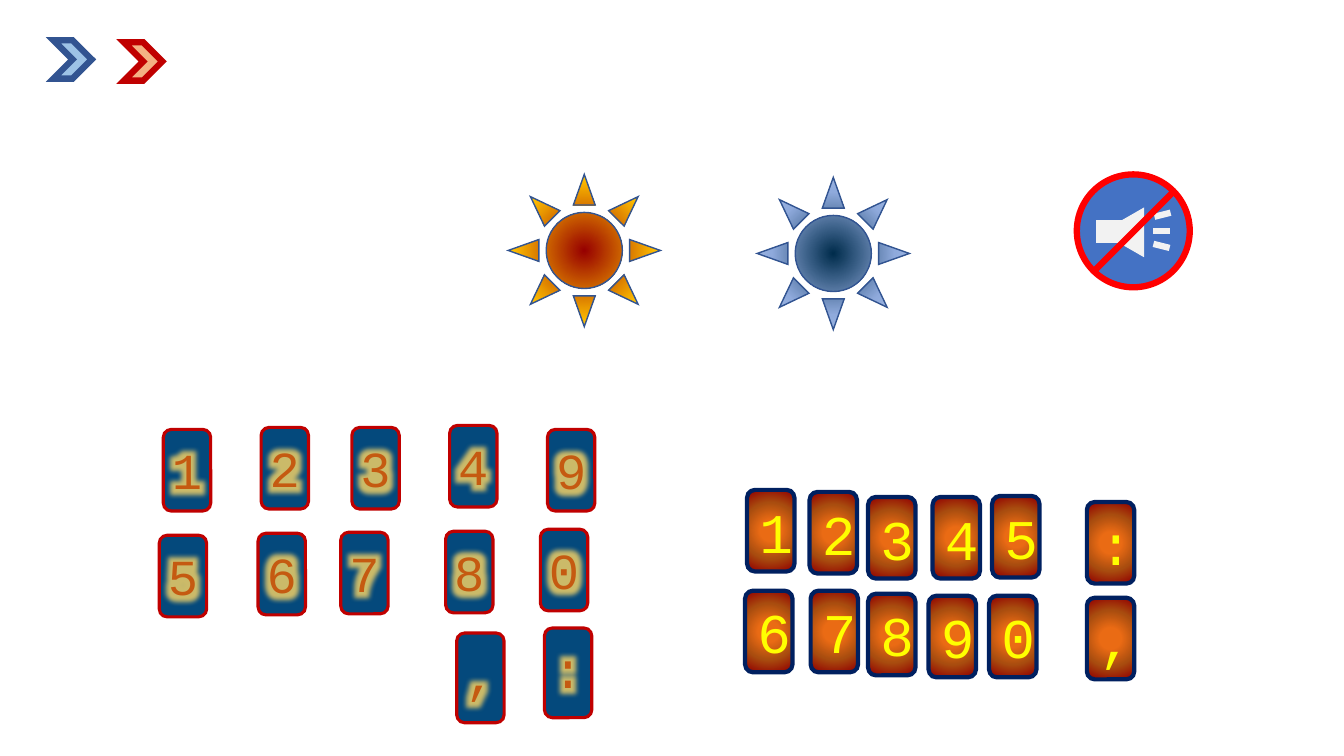
from lxml import etree
from pptx import Presentation
from pptx.dml.color import RGBColor
from pptx.enum.shapes import MSO_CONNECTOR, MSO_SHAPE
from pptx.enum.text import MSO_ANCHOR, MSO_AUTO_SIZE, PP_ALIGN
from pptx.oxml.ns import nsdecls, qn
from pptx.oxml import parse_xml
from pptx.util import Inches, Pt

ROUNDED, CHEVRON, SUN = MSO_SHAPE.ROUNDED_RECTANGLE, MSO_SHAPE.CHEVRON, MSO_SHAPE.SUN
OVAL, RECTANGLE, TRIANGLE = MSO_SHAPE.OVAL, MSO_SHAPE.RECTANGLE, MSO_SHAPE.ISOSCELES_TRIANGLE
STRAIGHT = MSO_CONNECTOR.STRAIGHT
CENTER, MIDDLE, GROW = PP_ALIGN.CENTER, MSO_ANCHOR.MIDDLE, MSO_AUTO_SIZE.SHAPE_TO_FIT_TEXT

# Content: symbol, left, top
BLUE_KEYS = [
    ("1", 1.62, 4.26), ("2", 2.59, 4.24), ("3", 3.49, 4.24), ("4", 4.46, 4.22),
    ("5", 1.58, 5.31), ("6", 2.56, 5.29), ("7", 3.38, 5.28), ("8", 4.42, 5.27),
    ("9", 5.43, 4.26), ("0", 5.36, 5.25), (":", 5.4, 6.23), (",", 4.53, 6.28),
]
ORANGE_KEYS = [
    ("1", 7.41, 4.86), ("2", 8.03, 4.88), ("3", 8.61, 4.93), ("4", 9.25, 4.93),
    ("5", 9.84, 4.92), ("6", 7.39, 5.86), ("7", 8.04, 5.86), ("8", 8.61, 5.89),
    ("9", 9.21, 5.91), ("0", 9.81, 5.91), (":", 10.78, 4.98), (",", 10.78, 5.93),
]
SOUND_WAVES = [
    (11.44, 2.29, 11.6, 2.29), (11.44, 2.42, 11.6, 2.46), (11.45, 2.15, 11.61, 2.11),
]
MUTE_SLASH = (10.85, 2.69, 11.64, 1.9)

KEY_WIDTH, KEY_HEIGHT, TALL_KEY_HEIGHT = 0.47, 0.81, 0.89
LABEL_WIDTH, LABEL_HEIGHT, LABEL_DROP = 0.54, 0.71, 0.05

THEME = {
    "font": "Courier New", "blue_key_size": 36, "orange_key_size": 40,
    "blue_key": "04497C", "red": "C00000", "digit": "C55A11",
    "glow": "FFD966", "glow_radius": 18,
    "orange_key": [(0, "EA6B14"), (23, "EA6B14"), (60, "A94D0F"), (97, "920000")],
    "navy": "002060", "yellow": "FFFF00", "outline": "325491",
    "blue_chevron": "9DC3E6", "orange_chevron": "F4B183",
    "warm_sun": [(0, "970000"), (67, "FFC000"), (100, "FFC000")],
    "cold_sun": [(0, "002C4C"), (57, "8FAADC"), (100, "B4C7E7")],
    "speaker_disc": "4472C4", "speaker": "F2F2F2", "mute": "FF0000",
}


def color(name):
    return RGBColor.from_string(THEME[name])


def apply_radial_gradient(shape, stops):
    stop_xml = "".join(
        f'<a:gs pos="{position * 1000}"><a:srgbClr val="{value}"/></a:gs>'
        for position, value in stops)
    gradient = parse_xml(
        f'<a:gradFill {nsdecls("a")} rotWithShape="1"><a:gsLst>{stop_xml}</a:gsLst>'
        '<a:path path="circle"><a:fillToRect l="50000" t="50000" r="50000" b="50000"/>'
        '</a:path></a:gradFill>')
    properties = shape._element.spPr
    properties.replace(properties.find(qn("a:solidFill")), gradient)


def add_shape(shapes, kind, box, fill, line, line_width):
    shape = shapes.add_shape(kind, *map(Inches, box))
    shape.shadow.inherit = False
    shape.fill.solid()
    if isinstance(THEME[fill], list):
        apply_radial_gradient(shape, THEME[fill])
    else:
        shape.fill.fore_color.rgb = color(fill)
    shape.line.color.rgb = color(line)
    shape.line.width = Pt(line_width)
    miter = etree.SubElement(shape.line._get_or_add_ln(), qn("a:miter"))
    miter.set("lim", "800000")
    return shape


def add_line(shapes, ends, line):
    connector = shapes.add_connector(STRAIGHT, *map(Inches, ends))
    connector.line.color.rgb = color(line)
    connector.line.width = Pt(4.5)
    etree.SubElement(connector._element.spPr, qn("a:effectLst"))


def write_symbol(shape, symbol, size, font_color):
    paragraph = shape.text_frame.paragraphs[0]
    paragraph.text = symbol
    paragraph.alignment = CENTER
    run = paragraph.runs[0]
    run.font.size = Pt(THEME[size])
    run.font.name = THEME["font"]
    run.font.color.rgb = color(font_color)
    return run


def add_glow(run):
    glow = parse_xml(
        f'<a:effectLst {nsdecls("a")}><a:glow rad="{Pt(THEME["glow_radius"])}">'
        f'<a:srgbClr val="{THEME["glow"]}"><a:alpha val="80000"/></a:srgbClr>'
        '</a:glow></a:effectLst>')
    run.font._element.find(qn("a:solidFill")).addnext(glow)


def add_blue_key(slide, symbol, left, top):
    shapes = slide.shapes.add_group_shape().shapes
    height = KEY_HEIGHT if symbol.isdigit() else TALL_KEY_HEIGHT
    add_shape(shapes, ROUNDED, (left, top, KEY_WIDTH, height), "blue_key", "red", 2.25)
    label_left = left - (LABEL_WIDTH - KEY_WIDTH) / 2
    label = shapes.add_textbox(Inches(label_left), Inches(top + LABEL_DROP),
                               Inches(LABEL_WIDTH), Inches(LABEL_HEIGHT))
    label.text_frame.word_wrap = True
    label.text_frame.auto_size = GROW
    add_glow(write_symbol(label, symbol, "blue_key_size", "digit"))


def add_orange_key(slide, symbol, left, top):
    key = add_shape(slide.shapes, ROUNDED, (left, top, KEY_WIDTH, KEY_HEIGHT),
                    "orange_key", "navy", 3)
    key.text_frame.vertical_anchor = MIDDLE
    write_symbol(key, symbol, "orange_key_size", "yellow")


def add_mute_icon(slide):
    shapes = slide.shapes.add_group_shape().shapes
    add_shape(shapes, OVAL, (10.68, 1.73, 1.12, 1.12), "speaker_disc", "mute", 4.5)
    add_shape(shapes, RECTANGLE, (10.88, 2.19, 0.25, 0.21), "speaker", "speaker", 1)
    cone = add_shape(shapes, TRIANGLE, (10.9, 2.1, 0.47, 0.41), "speaker", "speaker", 1)
    cone.rotation = 270
    for wave in SOUND_WAVES:
        add_line(shapes, wave, "speaker")
    add_line(shapes, MUTE_SLASH, "mute")


def main():
    presentation = Presentation()
    presentation.slide_width, presentation.slide_height = Inches(13.33), Inches(7.5)
    slide = presentation.slides.add_slide(presentation.slide_layouts[6])

    # Number keys
    for key in BLUE_KEYS:
        add_blue_key(slide, *key)
    for key in ORANGE_KEYS:
        add_orange_key(slide, *key)

    # Chevrons and suns
    add_shape(slide.shapes, CHEVRON, (0.53, 0.4, 0.38, 0.38), "blue_chevron", "outline", 4.5)
    add_shape(slide.shapes, CHEVRON, (1.23, 0.42, 0.38, 0.38), "orange_chevron", "red", 4.5)
    add_shape(slide.shapes, SUN, (5.04, 1.73, 1.51, 1.51), "warm_sun", "outline", 1)
    add_shape(slide.shapes, SUN, (7.51, 1.76, 1.51, 1.51), "cold_sun", "outline", 1)

    # Muted speaker
    add_mute_icon(slide)
    presentation.save("out.pptx")


if __name__ == "__main__":
    main()
